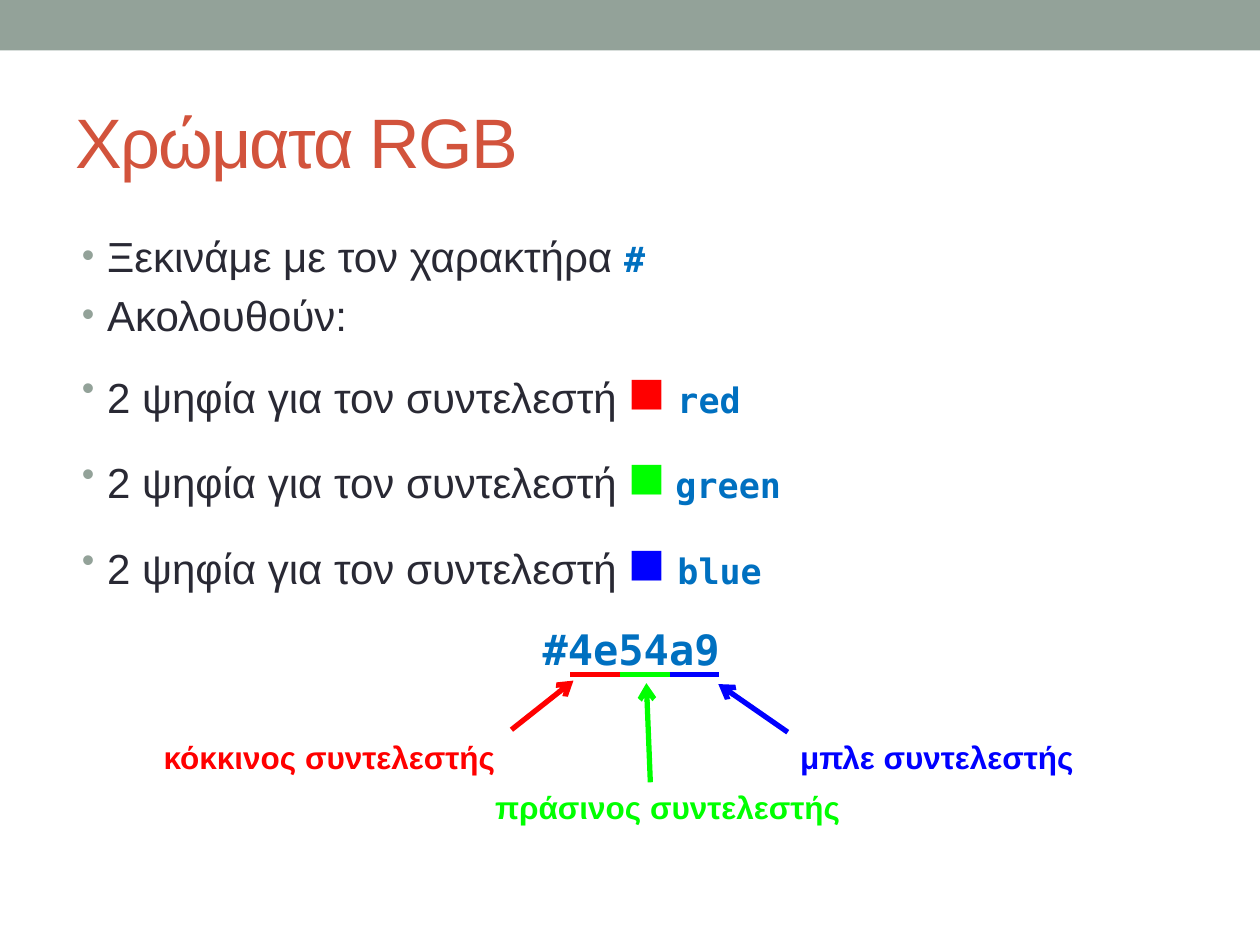
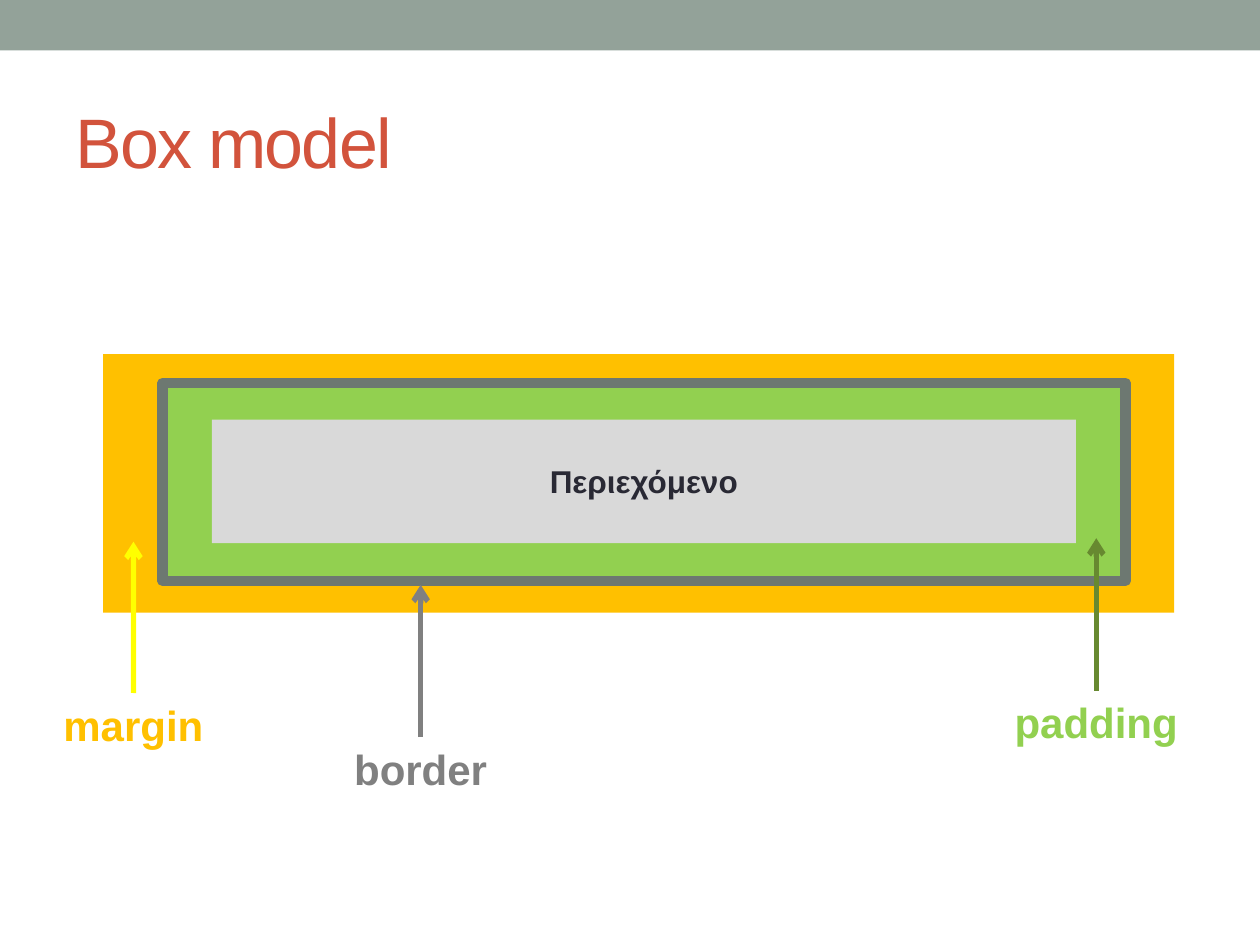
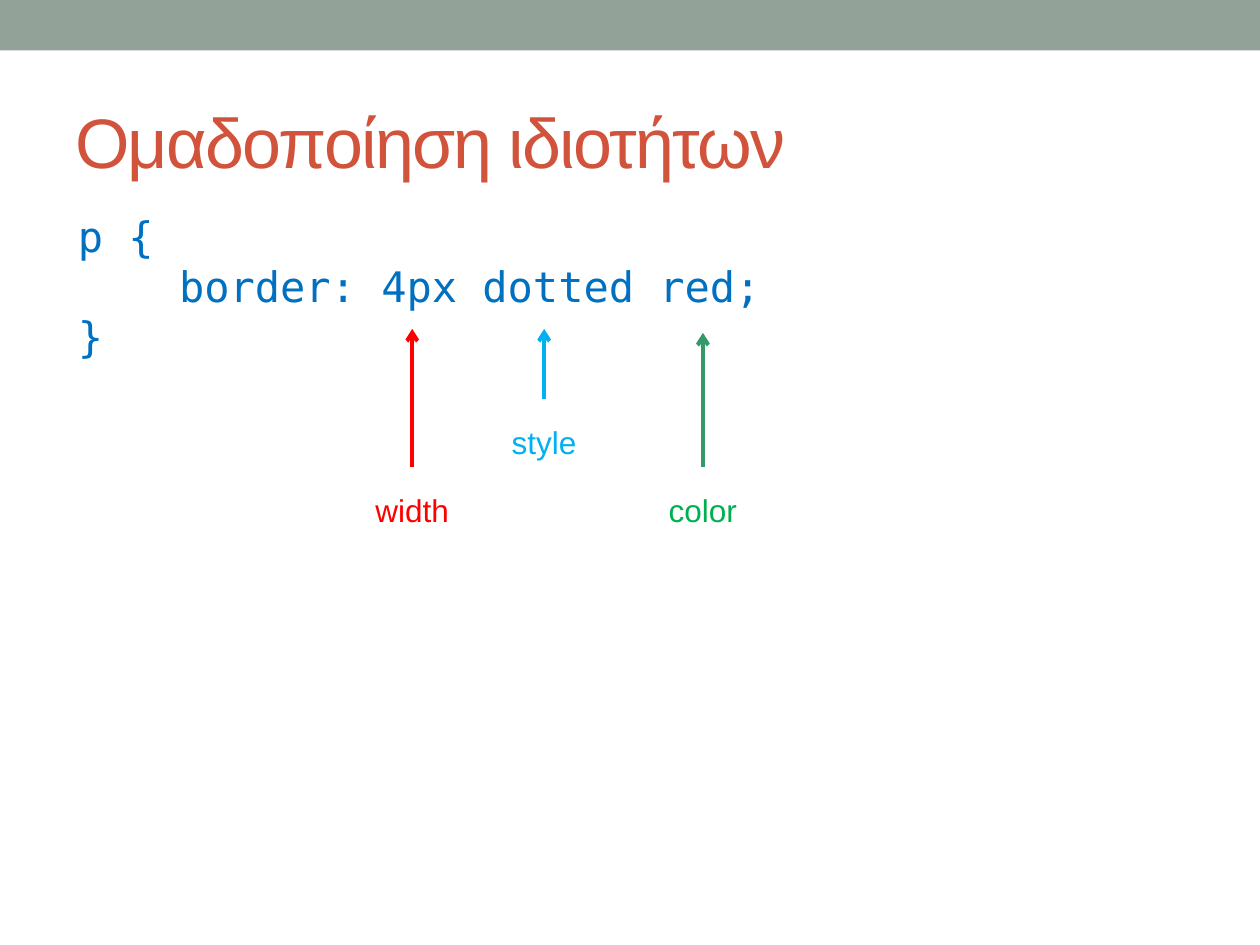
from dataclasses import dataclass

from pptx import Presentation
from pptx.dml.color import RGBColor
from pptx.enum.shapes import MSO_CONNECTOR as Conn, MSO_SHAPE as Shp
from pptx.enum.text import MSO_ANCHOR as Anchor, MSO_AUTO_SIZE as Auto, PP_ALIGN as Align
from pptx.oxml.xmlchemy import OxmlElement
from pptx.util import Cm, Pt

SANS, MONO = "Arial", "DejaVu Sans Mono"
BAND, TITLE, INK, CODE = "93A299", "D2533C", "292934", "0070C0"
RED, GREEN, BLUE = "FF0000", "00FF00", "0000FF"
AMBER, LIME, GREY = "FFC000", "92D050", "808080"


@dataclass(frozen=True)
class Box:
    """Left, top, width and height in centimetres."""
    x: float
    y: float
    w: float
    h: float

    def emu(self) -> tuple:
        """Return the four lengths for python-pptx."""
        return Cm(self.x), Cm(self.y), Cm(self.w), Cm(self.h)


@dataclass(frozen=True)
class Channel:
    """One colour channel with its arrow and label."""
    name: str
    color: str
    label: str
    box: Box
    start: tuple
    end: tuple


@dataclass(frozen=True)
class Pointer:
    """A label with a vertical arrow rising from above it."""
    label: str
    color: str
    line: str
    x: float
    top: float
    tip: float


CHANNELS = [
    Channel("red", RED, "κόκκινος συντελεστής", Box(3.05, 14.76, 7.26, 1.02), (10.31, 14.71), (11.56, 13.72)),
    Channel("green", GREEN, "πράσινος συντελεστής", Box(9.73, 15.77, 7.54, 1.02), (13.11, 15.77), (13.03, 13.77)),
    Channel("blue", BLUE, "μπλε συντελεστής", Box(15.88, 14.76, 6.07, 1.02), (15.88, 14.76), (14.48, 13.79)),
]
BOX_PARTS = [
    Pointer("margin", AMBER, "FFFF00", 2.69, 13.97, 10.92),
    Pointer("border", GREY, GREY, 8.48, 14.86, 11.79),
    Pointer("padding", LIME, "678930", 22.1, 13.92, 10.85),
]
BORDER_VALUES = [
    Pointer("width", RED, RED, 8.31, 9.78, 6.63),
    Pointer("style", "00B0F0", "00B0F0", 10.97, 8.4, 6.63),
    Pointer("color", "00B050", "339966", 14.17, 9.78, 6.71),
]


def rgb(color: str) -> RGBColor:
    """Turn a hex string into a colour."""
    return RGBColor.from_string(color)


def child(parent, tag: str, **attrs: str):
    """Append an XML element and return it."""
    el = OxmlElement(tag)
    for key, value in attrs.items():
        el.set(key, value)
    parent.append(el)
    return el


def add_text(p, text: str, *, size: float = 24, font: str = SANS, color: str = INK,
             bold: bool = False, spacing: int = 0) -> None:
    """Add a formatted run to a paragraph."""
    r = p.add_run()
    r.text = text
    r.font.size, r.font.name, r.font.bold = Pt(size), font, bold
    r.font.color.rgb = rgb(color)
    if spacing:
        r._r.get_or_add_rPr().set("spc", str(spacing))


def add_box(s, box: Box, *, wrap: bool = True, grow: bool = True):
    """Add an empty text box."""
    sp = s.shapes.add_textbox(*box.emu())
    tf = sp.text_frame
    tf.word_wrap = wrap
    tf.auto_size = Auto.SHAPE_TO_FIT_TEXT if grow else Auto.NONE
    return sp


def add_rect(s, box: Box, fill: str, line: str = "", weight: float = 0):
    """Add a filled rectangle, outlined if a line colour is given."""
    sp = s.shapes.add_shape(Shp.RECTANGLE, *box.emu())
    sp.shadow.inherit = False
    sp.fill.solid()
    sp.fill.fore_color.rgb = rgb(fill)
    if line:
        sp.line.color.rgb = rgb(line)
        sp.line.width = Pt(weight)
    else:
        sp.line.fill.background()
    return sp


def add_line(s, start: tuple, end: tuple, color: str, *, weight: float = 3, arrow: bool = True):
    """Add a straight line, with an arrowhead at its end by default."""
    c = s.shapes.add_connector(Conn.STRAIGHT, *map(Cm, start + end))
    c.line.color.rgb = rgb(color)
    c.line.width = Pt(weight)
    if arrow:
        child(c.get_or_add_ln(), "a:tailEnd", type="arrow")
    child(c.element.spPr, "a:effectLst")
    return c


def add_pointer(s, ptr: Pointer, *, width: float, height: float, gap: float = 0,
                weight: float = 3, size: float = 24, bold: bool = True) -> None:
    """Draw a centred label and its arrow, joined when there is no gap."""
    c = add_line(s, (ptr.x, ptr.top - gap), (ptr.x, ptr.tip), ptr.line, weight=weight)
    sp = add_box(s, Box(ptr.x - width / 2, ptr.top, width, height))
    p = sp.text_frame.paragraphs[0]
    p.alignment = Align.CENTER
    add_text(p, ptr.label, size=size, color=ptr.color, bold=bold)
    if not gap:
        c.begin_connect(sp, 0)


def add_bullet(tf, first: bool = False):
    """Return a bulleted paragraph with a hanging indent."""
    p = tf.paragraphs[0] if first else tf.add_paragraph()
    pPr = p._p.get_or_add_pPr()
    pPr.set("marL", str(Cm(0.51)))
    pPr.set("indent", str(Cm(-0.51)))
    child(child(pPr, "a:spcBef"), "a:spcPct", val="20000")
    child(child(pPr, "a:buClr"), "a:srgbClr", val=BAND)
    child(pPr, "a:buSzPct", val="85000")
    child(pPr, "a:buFont", typeface=SANS)
    child(pPr, "a:buChar", char="•")
    return p


def new_slide(prs, title: str):
    """Add a slide with the top band and a title."""
    s = prs.slides.add_slide(prs.slide_layouts[6])
    add_rect(s, Box(0, 0, 25.4, 1.02), BAND)
    tf = add_box(s, Box(1.27, 1.47, 22.86, 2.74), grow=False).text_frame
    tf.vertical_anchor = Anchor.MIDDLE
    add_text(tf.paragraphs[0], title, size=40, color=TITLE, spacing=-100)
    return s


def rgb_slide(prs) -> None:
    """Explain the parts of a hexadecimal colour."""
    s = new_slide(prs, "Χρώματα RGB")
    tf = add_box(s, Box(1.4, 4.52, 21.89, 7.59), grow=False).text_frame
    p = add_bullet(tf, first=True)
    add_text(p, "Ξεκινάμε με τον χαρακτήρα ")
    add_text(p, "#", size=20, font=MONO, color=CODE, bold=True)
    add_text(add_bullet(tf), "Ακολουθούν:")
    for ch in CHANNELS:
        p = add_bullet(tf)
        add_text(p, "2 ψηφία για τον συντελεστή ")
        add_text(p, "■", size=35, color=ch.color)
        add_text(p, " ", size=20 if ch.name == "green" else 24)
        add_text(p, ch.name, size=20, font=MONO, color=CODE, bold=True)

    tf = add_box(s, Box(10.69, 12.45, 4.14, 1.27), wrap=False).text_frame
    add_text(tf.paragraphs[0], "#4e54a9", font=MONO, color=CODE, bold=True)
    for i, ch in enumerate(CHANNELS):
        x = 11.5 + i
        add_line(s, (x, 13.59), (x + 1, 13.59), ch.color, arrow=False)
        add_line(s, ch.start, ch.end, ch.color)
        tf = add_box(s, ch.box, wrap=False).text_frame
        add_text(tf.paragraphs[0], ch.label, size=18, color=ch.color, bold=True)


def box_model_slide(prs) -> None:
    """Show margin, border and padding around the content."""
    s = new_slide(prs, "Box model")
    add_rect(s, Box(2.08, 7.14, 21.59, 5.21), AMBER)
    add_rect(s, Box(3.28, 7.72, 19.41, 3.99), LIME, "6D7871", 6)
    content = add_rect(s, Box(4.27, 8.46, 17.42, 2.49), "D9D9D9")
    tf = content.text_frame
    tf.vertical_anchor = Anchor.MIDDLE
    p = tf.paragraphs[0]
    p.alignment = Align.CENTER
    add_text(p, "Περιεχόμενο", size=18, bold=True)
    for ptr in BOX_PARTS:
        add_pointer(s, ptr, width=5.03, height=1.27)


def grouping_slide(prs) -> None:
    """Name the values of a shorthand border rule."""
    s = new_slide(prs, "Ομαδοποίηση ιδιοτήτων")
    tf = add_box(s, Box(1.32, 4.11, 21.36, 3.33)).text_frame
    for i, (line, indent) in enumerate([("p {", 0), ("border: 4px dotted red;", 2.04), ("}", 0)]):
        p = tf.add_paragraph() if i else tf.paragraphs[0]
        p._p.get_or_add_pPr().set("marL", str(Cm(indent)))
        add_text(p, line, font=MONO, color=CODE)
    for ptr in BORDER_VALUES:
        add_pointer(s, ptr, width=3, height=1.02, gap=0.36, weight=2.25, size=18, bold=False)


def main() -> None:
    """Build and save the presentation."""
    prs = Presentation()
    prs.slide_width, prs.slide_height = Cm(25.4), Cm(19.05)
    rgb_slide(prs)
    box_model_slide(prs)
    grouping_slide(prs)
    prs.save("out.pptx")


if __name__ == "__main__":
    main()
